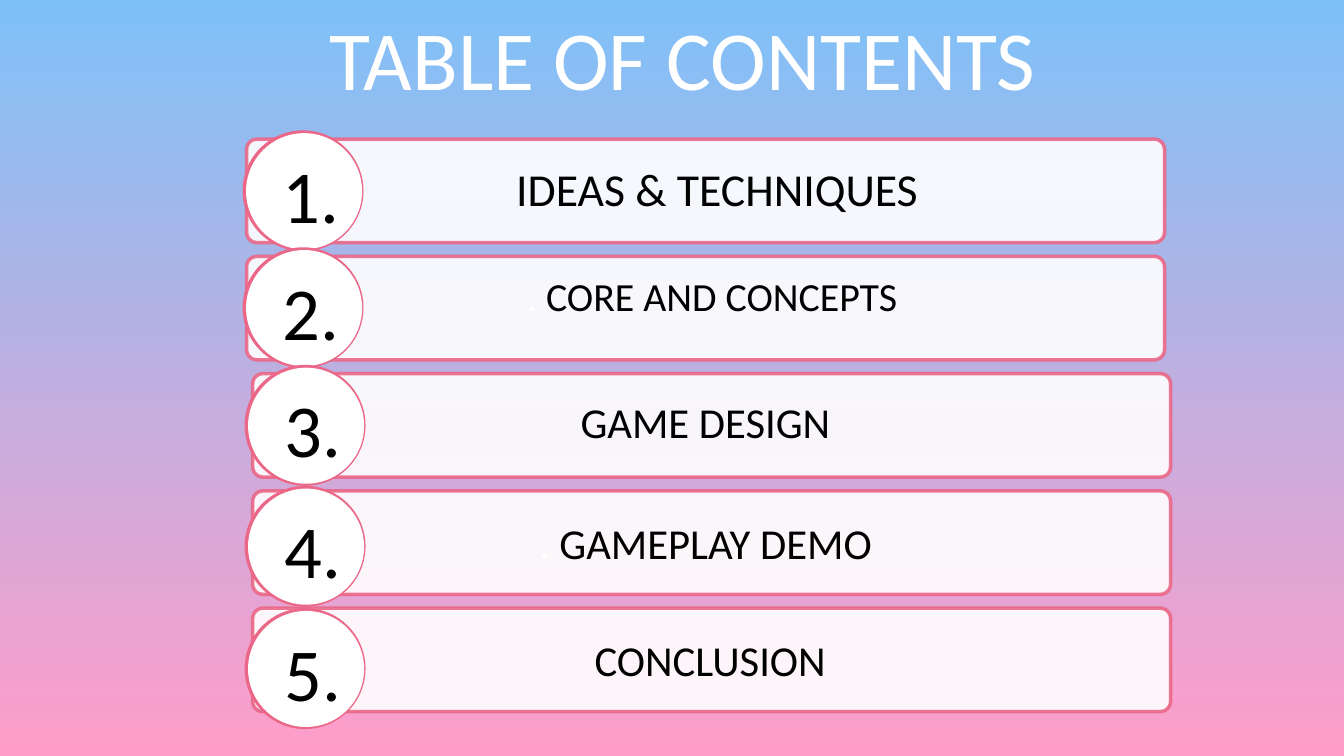
from dataclasses import dataclass

from lxml.etree import SubElement
from pptx import Presentation
from pptx.dml.color import RGBColor
from pptx.enum.shapes import MSO_SHAPE
from pptx.enum.text import PP_ALIGN
from pptx.oxml.ns import qn
from pptx.util import Inches, Pt


@dataclass(frozen=True)
class Theme:
    font: str = "Calibri"
    sky: str = "7EC1F8"
    pink: str = "FF9DC9"
    rose: str = "EA6787"
    white: str = "FFFFFF"
    black: str = "000000"
    title: float = 90
    number: float = 80
    large: float = 49
    small: float = 42.7
    label: float = 45.7


class Deck:
    def __init__(self, theme):
        self.theme = theme
        self.prs = Presentation()
        self.prs.slide_width = Inches(20)
        self.prs.slide_height = Inches(11.25)
        self.slide = self.prs.slides.add_slide(self.prs.slide_layouts[6])

    def backdrop(self):
        fill = self.slide.background.fill
        fill.gradient()
        fill.gradient_angle = 270
        tones = (self.theme.sky, self.theme.pink)
        for pos, (stop, tone) in enumerate(zip(fill.gradient_stops, tones)):
            stop.position = pos
            stop.color.rgb = RGBColor.from_string(tone)

    def shape(self, kind, box, fill, line=None, width=0, adjust=None, alpha=None):
        item = self.slide.shapes.add_shape(kind, *map(Inches, box))
        item.shadow.inherit = False
        if adjust is not None:
            item.adjustments[0] = adjust
        item.fill.solid()
        item.fill.fore_color.rgb = RGBColor.from_string(fill)
        if line:
            item.line.color.rgb = RGBColor.from_string(line)
            item.line.width = Pt(width)
        else:
            item.line.fill.background()
        if alpha:
            for tone in item._element.spPr.iter(qn("a:srgbClr")):
                SubElement(tone, qn("a:alpha"), val=str(alpha * 1000))
        return item

    def text(self, box, runs, size, pitch=1.1):
        frame = self.slide.shapes.add_textbox(*map(Inches, box)).text_frame
        frame.word_wrap = True
        for side in ("left", "top", "right", "bottom"):
            setattr(frame, f"margin_{side}", 0)
        para = frame.paragraphs[0]
        look = {"alignment": PP_ALIGN.CENTER, "line_spacing": Pt(size * pitch)}
        for key, value in look.items():
            setattr(para, key, value)
        for words, tone in runs:
            run = para.add_run()
            run.text = words
            for key, value in {"name": self.theme.font, "size": Pt(size)}.items():
                setattr(run.font, key, value)
            run.font.color.rgb = RGBColor.from_string(tone)

    def bar(self, left, top):
        t = self.theme
        self.shape(MSO_SHAPE.ROUNDED_RECTANGLE, (left, top, 13.66, 1.54),
                   t.white, t.rose, 3.75, adjust=0.1, alpha=90)

    def badge(self, left, top, number):
        t = self.theme
        self.shape(MSO_SHAPE.DONUT, (left, top, 1.8, 1.8), t.rose, adjust=0.08)
        self.shape(MSO_SHAPE.OVAL, (left + 0.14, top + 0.13, 1.55, 1.55),
                   t.white, t.white, 12.75)
        self.text((left - 1.03, top + 0.05, 4.09, 1.52),
                  [(f"{number}.", t.black)], t.number, pitch=1.4)


def main():
    theme = Theme()
    deck = Deck(theme)
    deck.backdrop()

    # Title
    deck.text((-0.32, 0.22, 20.96, 1.5),
              [("TABLE OF CONTENTS", theme.white)], theme.title)

    # Rows: label, lead mark, size, bar left, badge left, badge top,
    # label centre, label drop below the bar's top
    rows = [
        ("IDEAS & TECHNIQUES", "", theme.large, 3.67, 3.61, 1.94, 10.67, 0.39),
        ("CORE AND CONCEPTS", ". ", theme.small, 3.67, 3.61, 3.68, 10.6, 0.28),
        ("GAME DESIGN", "", theme.label, 3.76, 3.64, 5.43, 10.5, 0.39),
        ("GAMEPLAY DEMO", ". ", theme.label, 3.76, 3.64, 7.23, 10.5, 0.45),
        ("CONCLUSION", "", theme.label, 3.76, 3.64, 9.05, 10.57, 0.45),
    ]
    first, step, wide = 2.07, 1.745, 11
    for i, (label, mark, size, left, edge, top, mid, drop) in enumerate(rows):
        y = first + i * step
        deck.bar(left, y)
        runs = [(mark, theme.white)] if mark else []
        deck.text((mid - wide / 2, y + drop, wide, 1.46),
                  runs + [(label, theme.black)], size)
        deck.badge(edge, top, i + 1)

    deck.prs.save("out.pptx")


if __name__ == "__main__":
    main()
